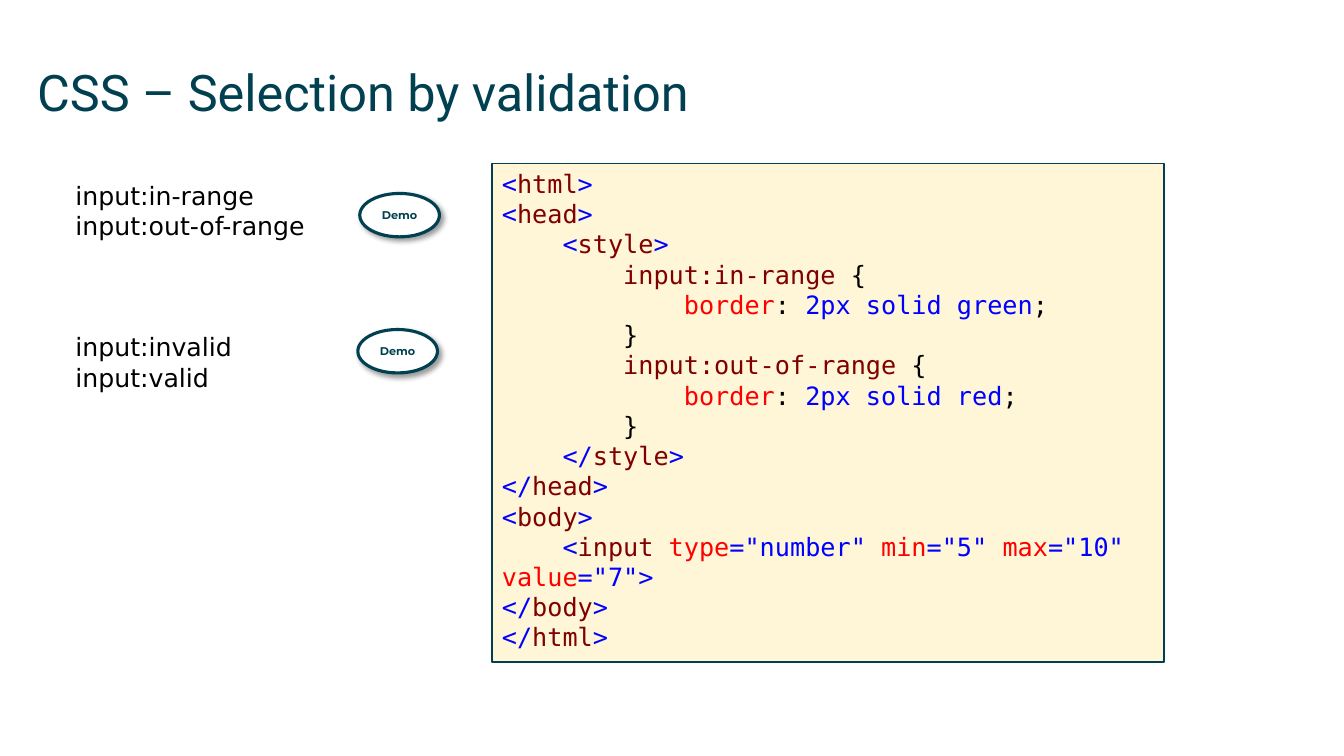
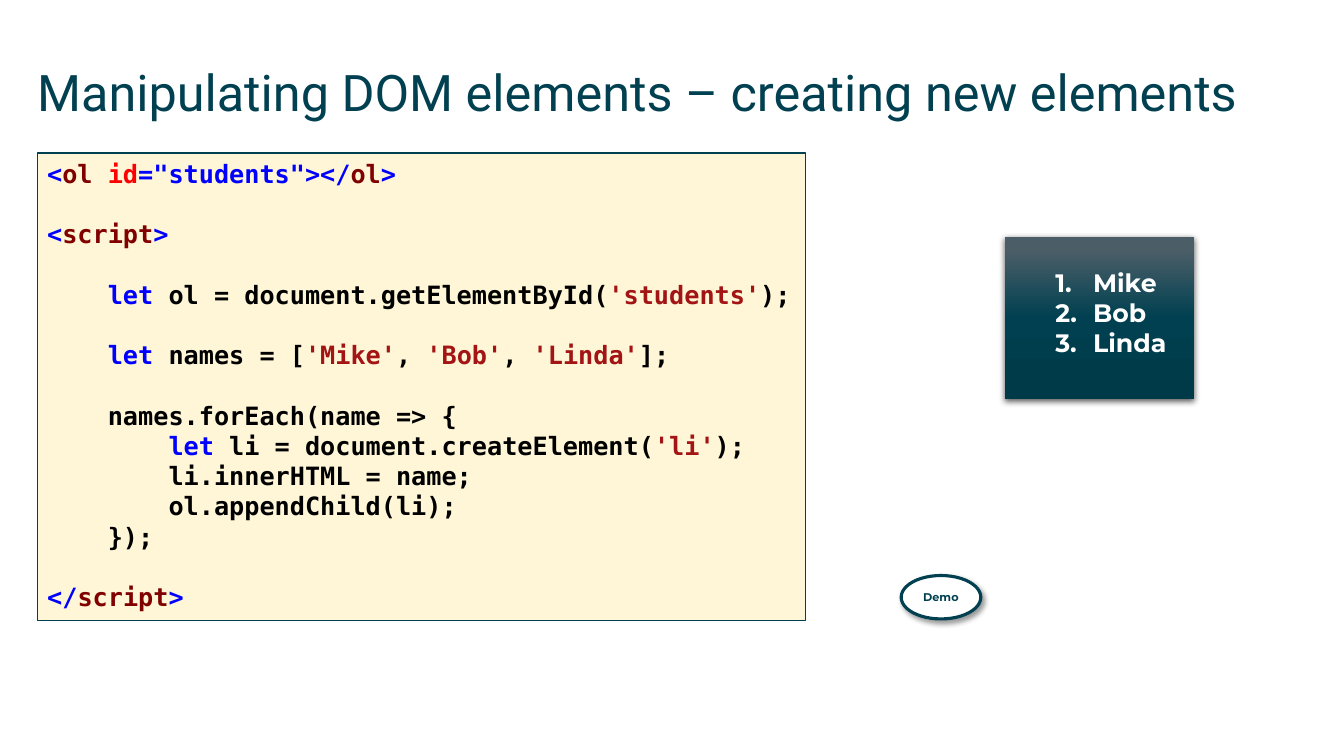
from copy import deepcopy

from lxml import etree
from pptx import Presentation
from pptx.dml import color
from pptx.enum import shapes, text
from pptx.oxml import ns
from pptx.util import Pt

TEAL, CREAM, WHITE, BLACK = "004050", "FEF6D7", "FFFFFF", "000000"
SANS, MONO, LABEL, HEADING = "DejaVu Sans", "DejaVu Sans Mono", "Montserrat", "Roboto"
SYNTAX = {"mark": "0000FF", "tag": "800000", "attr": "FF0000", "plain": BLACK, "string": "A31515"}
BODY_SIZE, LINE_PITCH = 18, 21.6
CODE_INDENT = 4 * 0.602 * BODY_SIZE
TITLE_BOX = (26.6, 43.9, 907.2, 63.4)
DEMO_SIZE = (56.9, 31)
DEMO_SHADOW = (BLACK, 40, 4, 3, 45)
LIST_SHADOW = (BLACK, 63, 4.5, 1.5, 90)
LIST_GRADIENT = [(0.08, "4B5E68"), (0.5, TEAL), (1, "003947")]
LIST_INDENT, NUMBER_HANG = 63, 27


def opening(name):
    return [("mark", "<"), ("tag", name), ("mark", ">")]


def closing(name):
    return [("mark", "</"), ("tag", name), ("mark", ">")]


def selector(name):
    return [("tag", name), ("plain", " {")]


def border(value):
    return [("attr", "border"), ("plain", ": "), ("mark", value), ("plain", ";")]


def plain(words):
    return [("plain", words)]


VALIDATION_CODE = [
    (0, opening("html")),
    (0, opening("head")),
    (1, opening("style")),
    (2, selector("input:in-range")),
    (3, border("2px solid green")),
    (2, plain("}")),
    (2, selector("input:out-of-range")),
    (3, border("2px solid red")),
    (2, plain("}")),
    (1, closing("style")),
    (0, closing("head")),
    (0, opening("body")),
    (1, [("mark", "<"), ("tag", "input "), ("attr", "type"), ("mark", '="number" '),
         ("attr", "min"), ("mark", '="5" '), ("attr", "max"), ("mark", '="10" '),
         ("attr", "value"), ("mark", '="7">')]),
    (0, closing("body")),
    (0, closing("html")),
]
DOM_CODE = [
    (0, [("mark", "<"), ("tag", "ol "), ("attr", "id"), ("mark", '="students">')] + closing("ol")),
    None,
    (0, opening("script")),
    None,
    (1, [("mark", "let "), ("plain", "ol = document.getElementById("),
         ("string", "'students'"), ("plain", ");")]),
    None,
    (1, [("mark", "let"), ("plain", " names = ["), ("string", "'Mike'"), ("plain", ", "),
         ("string", "'Bob'"), ("plain", ", "), ("string", "'Linda'"), ("plain", "];")]),
    None,
    (1, plain("names.forEach(name => {")),
    (2, [("mark", "let"), ("plain", " li = document.createElement("),
         ("string", "'li'"), ("plain", ");")]),
    (2, plain("li.innerHTML = name;")),
    (2, plain("ol.appendChild(li);")),
    (1, plain("});")),
    None,
    (0, closing("script")),
]
SELECTORS = ["input:in-range", "input:out-of-range", None, None, None,
             "input:invalid", "input:valid"]
STUDENTS = ["Mike", "Bob", "Linda"]
SLIDES = [
    {"title": "CSS – Selection by validation",
     "selectors": (SELECTORS, (46.8, 125.3, 208.8, 159.8)),
     "code": (VALIDATION_CODE, (351.4, 116.6, 480.2, 356.4), False),
     "demos": [(257, 138.2), (255.6, 235.4)]},
    {"title": "Manipulating DOM elements – creating new elements",
     "students": (STUDENTS, (717.8, 169.2, 135.4, 115.9)),
     "code": (DOM_CODE, (26.6, 109.4, 548.6, 334.1), True),
     "demos": [(643.7, 411.1)]},
]


def rgb(value):
    return color.RGBColor.from_string(value)


def style(paragraph, family, size, ink=None, bold=False):
    font = paragraph.font
    font.name, font.size, font.bold = family, Pt(size), bold
    if ink:
        font.color.rgb = rgb(ink)


def set_margins(frame, top=0):
    frame.margin_left = frame.margin_right = frame.margin_bottom = 0
    frame.margin_top = Pt(top)


def add_box(slide, kind, box, fill=None, line=None, width=1):
    shape = slide.shapes.add_shape(kind, *map(Pt, box))
    shape.shadow.inherit = False
    if fill:
        shape.fill.solid()
        shape.fill.fore_color.rgb = rgb(fill)
    if line:
        shape.line.color.rgb = rgb(line)
        shape.line.width = Pt(width)
    else:
        shape.line.fill.background()
    return shape


def add_shadow(shape, ink, opacity, blur, distance, angle):
    effects = shape._element.spPr.find(ns.qn("a:effectLst"))
    shadow = etree.SubElement(effects, ns.qn("a:outerShdw"), blurRad=str(Pt(blur)),
                              dist=str(Pt(distance)), dir=str(angle * 60000),
                              algn="ctr", rotWithShape="0")
    tint = etree.SubElement(shadow, ns.qn("a:srgbClr"), val=ink)
    etree.SubElement(tint, ns.qn("a:alpha"), val=str(opacity * 1000))


def add_lines(frame, lines):
    """Yield a paragraph with each line, turning None entries into space before the next."""
    gap, paragraph = 0, None
    for line in lines:
        if line is None:
            gap += LINE_PITCH
            continue
        paragraph = frame.add_paragraph() if paragraph else frame.paragraphs[0]
        paragraph.alignment = text.PP_ALIGN.LEFT
        paragraph.line_spacing = Pt(LINE_PITCH)
        paragraph.space_before = Pt(gap)
        gap = 0
        yield paragraph, line


def set_indent(paragraph, left, first):
    properties = paragraph._p.get_or_add_pPr()
    properties.set("marL", str(Pt(left)))
    properties.set("indent", str(Pt(first)))
    return properties


def add_title(slide, title):
    frame = slide.shapes.add_textbox(*map(Pt, TITLE_BOX)).text_frame
    frame.word_wrap = True
    set_margins(frame)
    frame.text = title
    style(frame.paragraphs[0], HEADING, 36, TEAL)


def add_selectors(slide, names, box):
    frame = slide.shapes.add_textbox(*map(Pt, box)).text_frame
    frame.word_wrap = True
    for paragraph, name in add_lines(frame, names):
        paragraph.text = name
        style(paragraph, SANS, BODY_SIZE, BLACK)


def add_code(slide, lines, box, bold):
    frame = add_box(slide, shapes.MSO_SHAPE.RECTANGLE, box, CREAM, TEAL).text_frame
    frame.word_wrap = True
    frame.vertical_anchor = text.MSO_ANCHOR.TOP
    for paragraph, (depth, tokens) in add_lines(frame, lines):
        set_indent(paragraph, 0, depth * CODE_INDENT)
        style(paragraph, MONO, BODY_SIZE, bold=bold)
        for kind, words in tokens:
            run = paragraph.add_run()
            run.text = words
            run.font.color.rgb = rgb(SYNTAX[kind])


def add_students(slide, names, box):
    panel = add_box(slide, shapes.MSO_SHAPE.RECTANGLE, box)
    panel.fill.gradient()
    panel.fill.gradient_angle = 270
    stops = panel._element.spPr.find(".//" + ns.qn("a:gsLst"))
    stops.append(deepcopy(stops[-1]))
    for stop, (position, ink) in zip(panel.fill.gradient_stops, LIST_GRADIENT):
        stop.position = position
        stop.color.rgb = rgb(ink)
    add_shadow(panel, *LIST_SHADOW)
    frame = panel.text_frame
    frame.word_wrap = True
    frame.vertical_anchor = text.MSO_ANCHOR.TOP
    set_margins(frame, LINE_PITCH)
    for paragraph, name in add_lines(frame, names):
        properties = set_indent(paragraph, LIST_INDENT, -NUMBER_HANG)
        numbering = etree.SubElement(properties, ns.qn("a:buAutoNum"))
        numbering.set("type", "arabicPeriod")
        paragraph.text = name
        style(paragraph, LABEL, BODY_SIZE, WHITE, True)


def add_demo(slide, corner):
    button = add_box(slide, shapes.MSO_SHAPE.OVAL, corner + DEMO_SIZE, WHITE, TEAL, 2.25)
    add_shadow(button, *DEMO_SHADOW)
    frame = button.text_frame
    frame.word_wrap = False
    frame.vertical_anchor = text.MSO_ANCHOR.MIDDLE
    set_margins(frame)
    frame.text = "Demo"
    frame.paragraphs[0].alignment = text.PP_ALIGN.CENTER
    style(frame.paragraphs[0], LABEL, 8, TEAL, True)


def main():
    deck = Presentation()
    deck.slide_width, deck.slide_height = Pt(960), Pt(540)
    for content in SLIDES:
        slide = deck.slides.add_slide(deck.slide_layouts[6])
        add_title(slide, content["title"])
        if "selectors" in content:
            add_selectors(slide, *content["selectors"])
        if "students" in content:
            add_students(slide, *content["students"])
        add_code(slide, *content["code"])
        for corner in content["demos"]:
            add_demo(slide, corner)
    deck.save("out.pptx")


if __name__ == "__main__":
    main()
